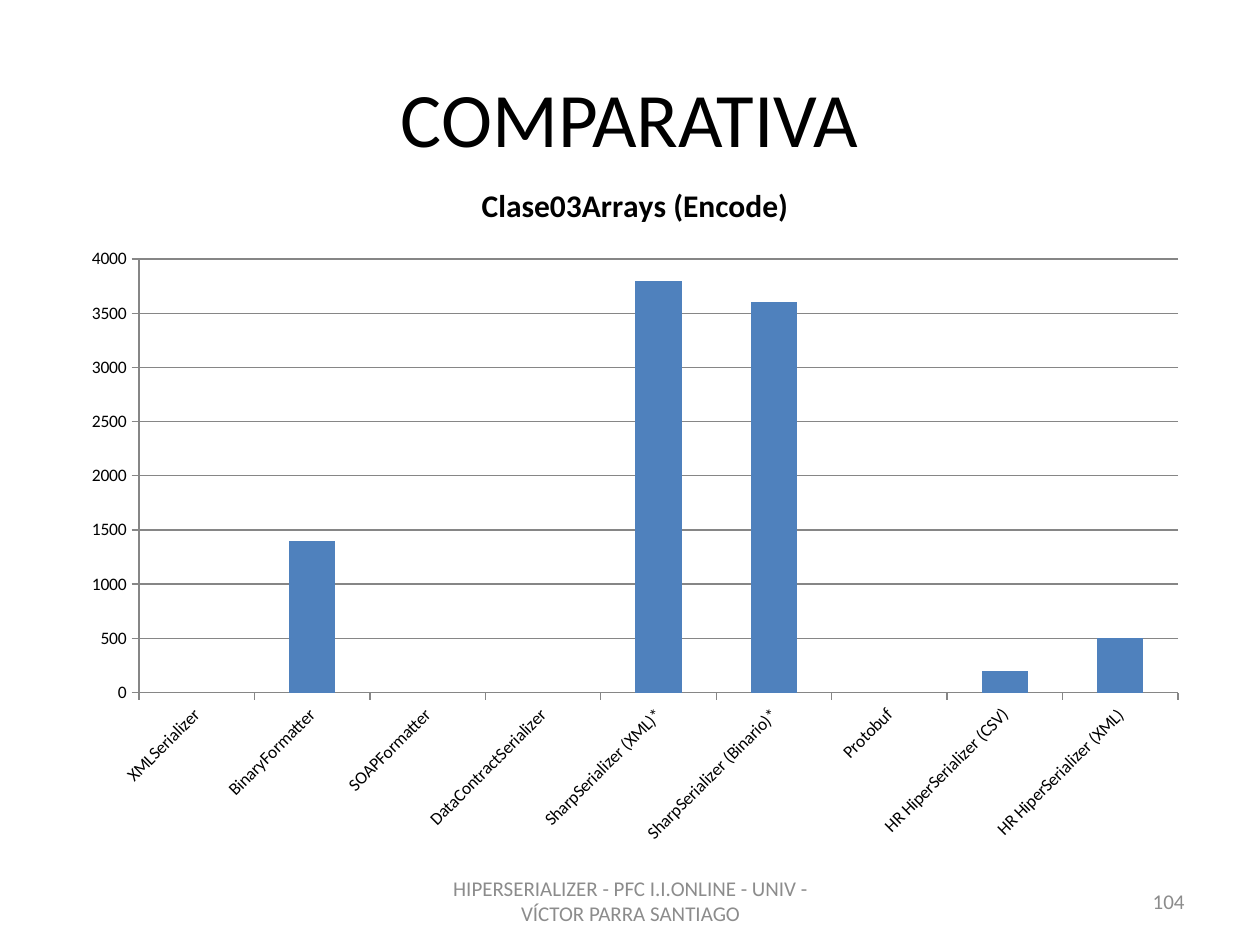
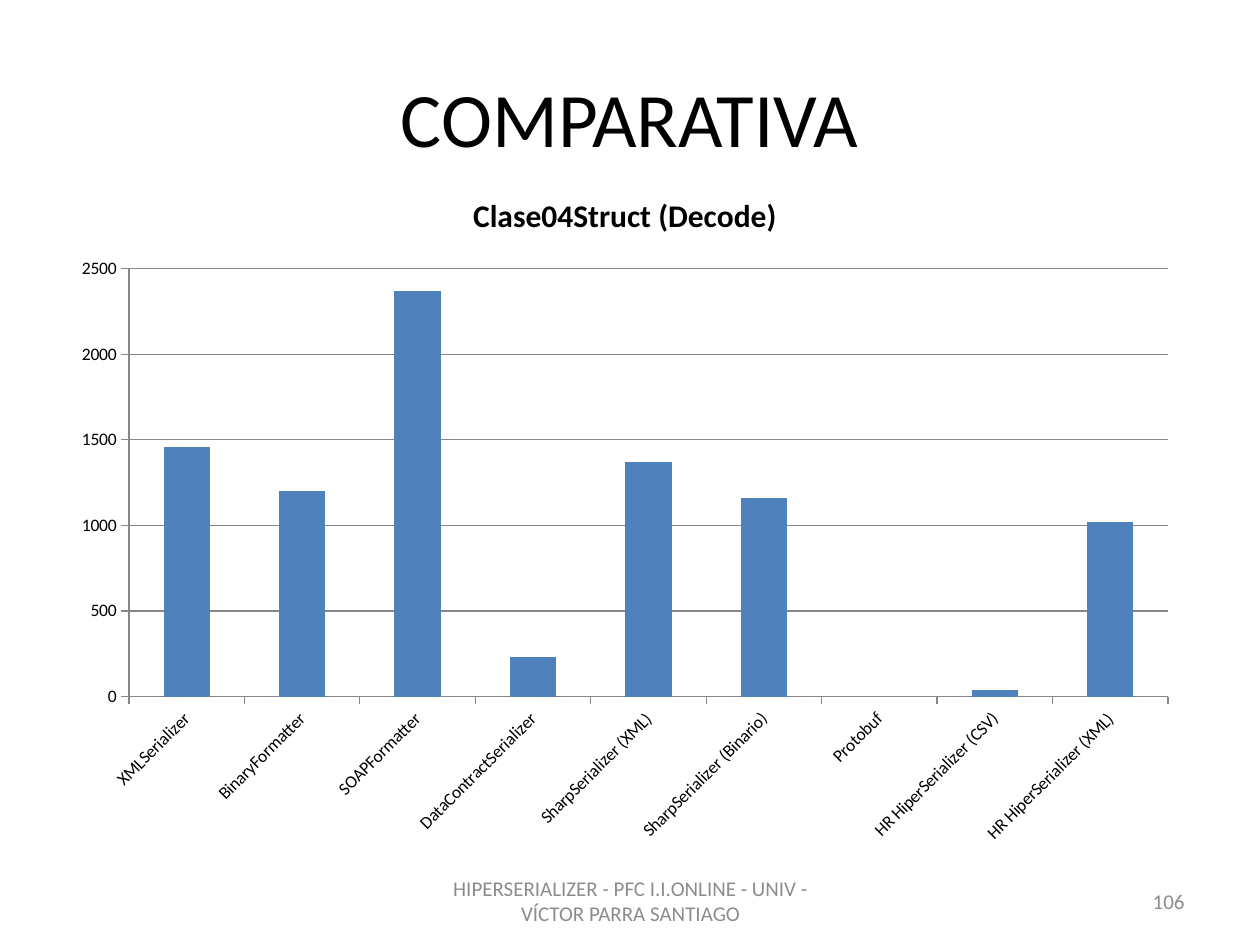
from pptx import Presentation
from pptx.chart.data import CategoryChartData
from pptx.dml.color import RGBColor
from pptx.enum.chart import XL_CHART_TYPE as CHART, XL_TICK_MARK as TICK
from pptx.enum.text import MSO_ANCHOR as ANCHOR, PP_ALIGN as ALIGN
from pptx.oxml.ns import qn
from pptx.util import Inches, Pt

# Shared look
WIDTH, HEIGHT, MARGIN = 10, 7.5, 0.5
FONT = "Calibri"
BLACK, GREY, AXIS, BLUE = "000000", "8C8C8C", "868686", "4F81BD"
FOOTER = "HIPERSERIALIZER - PFC I.I.ONLINE - UNIV - VÍCTOR PARRA SANTIAGO"
FOOTER_TOP, FOOTER_HEIGHT = 6.95, 0.4


def color(hex_code):
    return RGBColor.from_string(hex_code)


def style_font(font, size, hex_code, bold=False):
    font.name, font.size, font.bold = FONT, Pt(size), bold
    font.color.rgb = color(hex_code)


def style_line(line):
    line.color.rgb = color(AXIS)
    line.width = Pt(0.75)


def add_text(s, box, text, size, hex_code, align):
    tf = s.shapes.add_textbox(*map(Inches, box)).text_frame
    tf.word_wrap = True
    tf.vertical_anchor = ANCHOR.MIDDLE
    p = tf.paragraphs[0]
    p.text = text
    p.alignment = align
    style_font(p.runs[0].font, size, hex_code)


def add_frame(s, number):
    """Title, centred footer and slide number."""
    inner = WIDTH - 2 * MARGIN
    add_text(s, (MARGIN, 0.3, inner, 1.25), "COMPARATIVA", 44, BLACK, ALIGN.CENTER)
    for left, width, text, align in (
        (3.42, 3.17, FOOTER, ALIGN.CENTER),
        (7.17, 2.33, str(number), ALIGN.RIGHT),
    ):
        add_text(s, (left, FOOTER_TOP, width, FOOTER_HEIGHT), text, 12, GREY, align)


def add_columns(s, box, title, categories, values, top, step):
    data = CategoryChartData()
    data.categories = categories
    data.add_series(title, values)
    chart = s.shapes.add_chart(
        CHART.COLUMN_CLUSTERED, *map(Inches, box), data).chart
    style_font(chart.font, 10, BLACK)
    chart.has_legend = False

    # Chart title
    chart.has_title = True
    p = chart.chart_title.text_frame.paragraphs[0]
    p.text = title
    style_font(p.runs[0].font, 18, BLACK, bold=True)
    chart.chart_title.include_in_layout = False

    # Columns
    plot = chart.plots[0]
    plot.gap_width = 150
    plot.vary_by_categories = False
    fill = plot.series[0].format.fill
    fill.solid()
    fill.fore_color.rgb = color(BLUE)

    # Axes and gridlines
    cat_axis, val_axis = chart.category_axis, chart.value_axis
    for axis in (cat_axis, val_axis):
        axis.major_tick_mark = TICK.OUTSIDE
        axis.minor_tick_mark = TICK.NONE
        style_font(axis.tick_labels.font, 10, BLACK)
        style_line(axis.format.line)
    val_axis.minimum_scale, val_axis.maximum_scale = 0, top
    val_axis.major_unit = step
    val_axis.has_major_gridlines = True
    style_line(val_axis.major_gridlines.format.line)

    # Slanted category labels
    body = cat_axis._element.find(qn("c:txPr")).find(qn("a:bodyPr"))
    body.set("rot", str(-45 * 60000))
    body.set("vert", "horz")


def categories(mark=""):
    """Compared serializers; mark follows the SharpSerializer names."""
    return ["XMLSerializer", "BinaryFormatter", "SOAPFormatter",
            "DataContractSerializer",
            *(f"SharpSerializer ({kind}){mark}" for kind in ("XML", "Binario")),
            "Protobuf",
            *(f"HR HiperSerializer ({kind})" for kind in ("CSV", "XML"))]


def main():
    prs = Presentation()
    prs.slide_width, prs.slide_height = Inches(WIDTH), Inches(HEIGHT)
    slides = (
        (104, (0.55, 1.25, 8.98, 5.55), "Clase03Arrays (Encode)", categories("*"),
         (None, 1400, None, None, 3800, 3600, None, 200, 500), 4000, 500),
        (106, (0.47, 1.33, 8.98, 5.47), "Clase04Struct (Decode)", categories(),
         (1460, 1200, 2370, 230, 1370, 1160, None, 40, 1020), 2500, 500),
    )
    for number, *chart in slides:
        s = prs.slides.add_slide(prs.slide_layouts[6])
        add_frame(s, number)
        add_columns(s, *chart)
    prs.save("out.pptx")


main()
